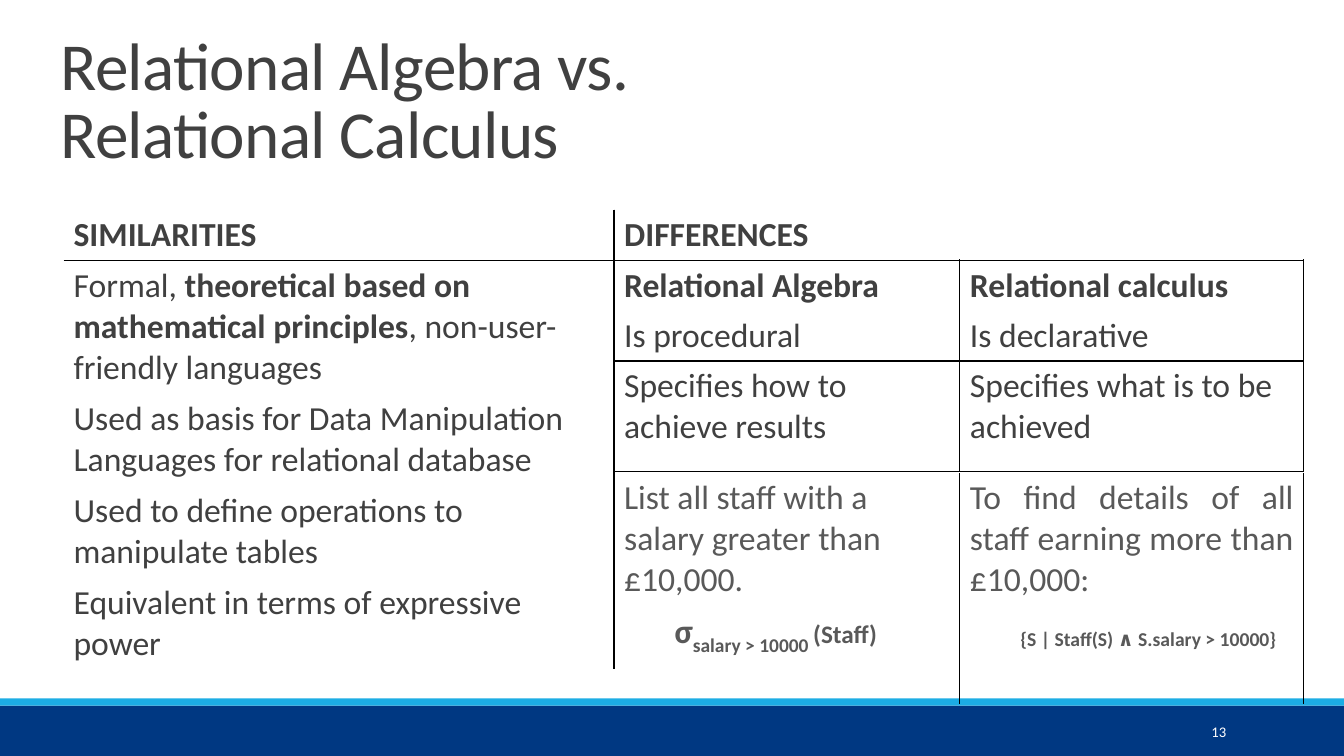
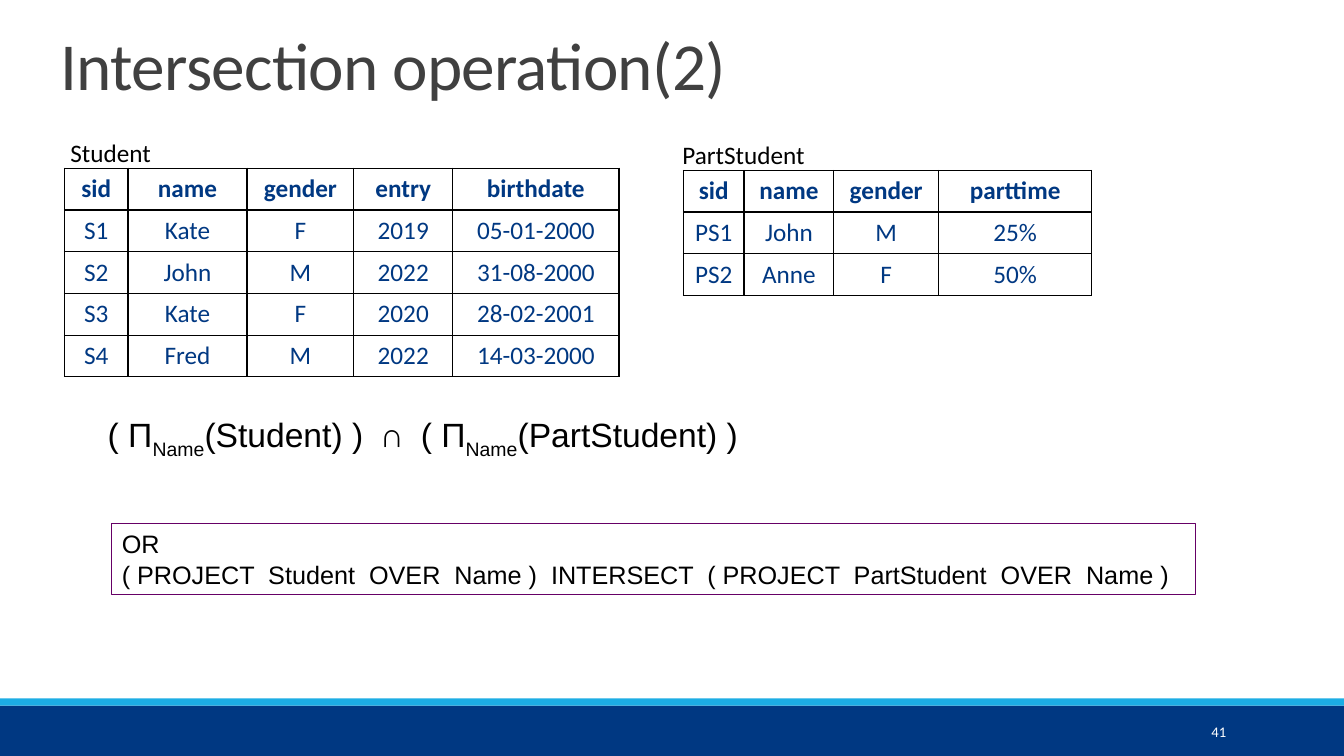
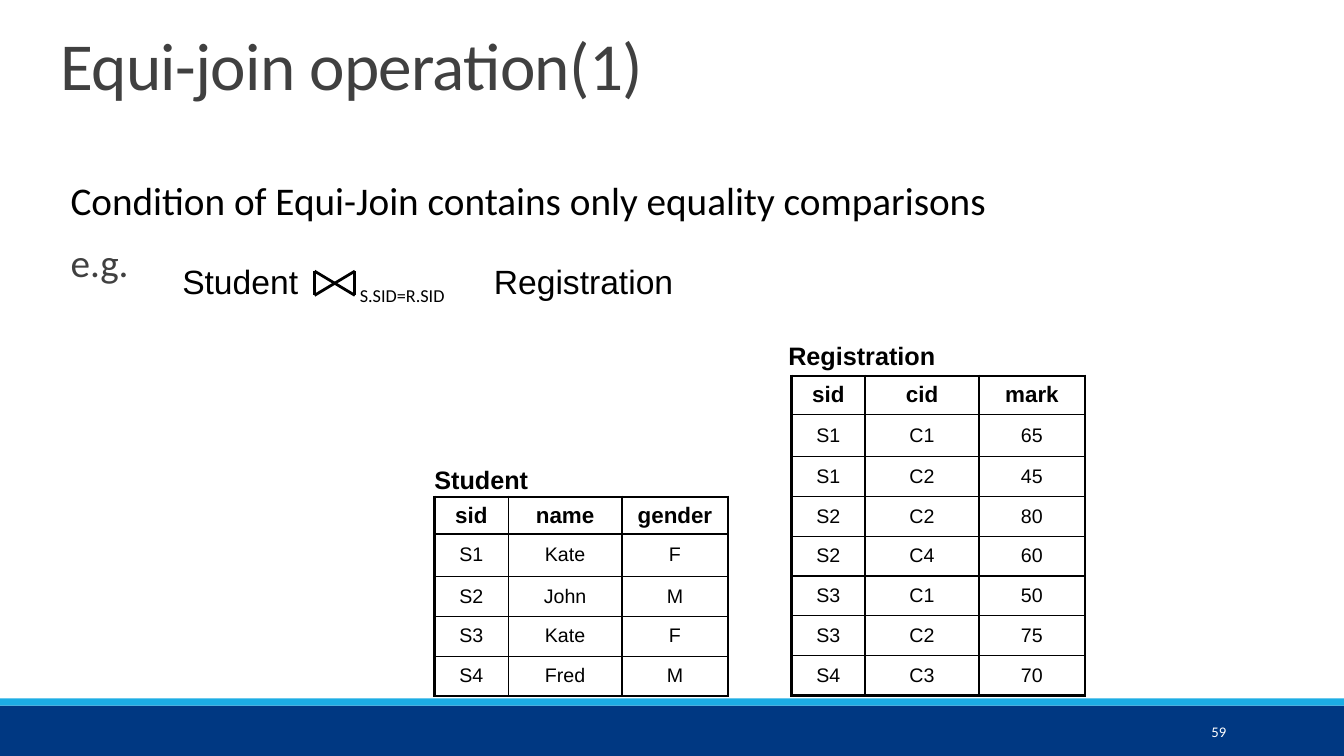
import pptx
import pptx.util
import pptx.oxml
import pptx.dml.color
import pptx.enum.text
import pptx.enum.shapes
import pptx.oxml.ns
from pptx.util import Inches

HUES = {"navy": "003882", "sky": "1CADE4", "dark": "404040", "grey": "595959",
        "black": "000000", "plum": "660066", "white": "FFFFFF"}
ALIGN = pptx.enum.text.PP_ALIGN
ANCHOR = pptx.enum.text.MSO_ANCHOR
FIT = pptx.enum.text.MSO_AUTO_SIZE
RECT = pptx.enum.shapes.MSO_SHAPE.RECTANGLE
NS = pptx.oxml.ns.nsdecls("a")

# Text formats
NOTE = {"name": "Calibri", "size": 24, "hue": "dark"}
TASK = {**NOTE, "hue": "grey"}
LABEL = {"name": "Calibri", "size": 18, "hue": "black"}
CODE = {"name": "Arial", "size": 18, "hue": "black"}
MATH = {**CODE, "size": 24}
BOLD = {"bold": True}
SUB = {"base": -25000}


def color(name):
    return pptx.dml.color.RGBColor.from_string(HUES[name])


def style(run, form):
    for key, value in form.items():
        if key == "hue":
            run.font.color.rgb = color(value)
        elif key == "base":
            run.font._element.set("baseline", str(value))
        else:
            setattr(run.font, key, pptx.util.Pt(value) if key == "size" else value)


def write(frame, paras, form, align=None):
    """A paragraph is a string or a list of strings and (string, format) pairs."""
    for i, para in enumerate(paras):
        line = frame.add_paragraph() if i else frame.paragraphs[0]
        line.alignment = align
        for part in [para] if isinstance(para, str) else para:
            text, own = (part, {}) if isinstance(part, str) else part
            run = line.add_run()
            run.text = text
            style(run, {**form, **own})


def place(shape, at):
    for key, value in zip(("left", "top", "width", "height"), at):
        setattr(shape, key, Inches(value))


def box(shapes, at, paras, form, align=None, wrap=True):
    frame = shapes.add_textbox(*map(Inches, at)).text_frame
    frame.word_wrap = wrap
    write(frame, paras, form, align)
    return frame


def panel(shapes, at, fill=None, line=None):
    shape = shapes.add_shape(RECT, *map(Inches, at))
    shape.shadow.inherit = False
    if fill:
        shape.fill.solid()
        shape.fill.fore_color.rgb = color(fill)
    else:
        shape.fill.background()
    if line:
        shape.line.color.rgb = color(line)
        shape.line.width = pptx.util.Pt(0.75)
    else:
        shape.line.fill.background()
    return shape


def stroke(shapes, start, end):
    line = shapes.add_connector(pptx.enum.shapes.MSO_CONNECTOR.STRAIGHT,
                                *map(Inches, start + end))
    line.line.color.rgb = color("black")
    line.line.width = pptx.util.Pt(2)
    line._element.spPr.append(pptx.oxml.parse_xml(f"<a:effectLst {NS}/>"))


# Tables
def border(cell, sides):
    cell.fill.background()
    props = cell._tc.get_or_add_tcPr()
    for i, side in enumerate("LRTB"):
        width = sides.get(side, 0)
        paint = (f'<a:solidFill><a:srgbClr val="{HUES["black"]}"/></a:solidFill>'
                 if width else "<a:noFill/>")
        props.insert(i, pptx.oxml.parse_xml(
            f'<a:ln{side} {NS} w="{int(width * 12700)}">{paint}</a:ln{side}>'))


def grid(slide, spot, cols, rows, edges):
    """Draw an empty table; edges(row, col) gives the line width of each side."""
    size = (sum(cols), sum(rows))
    table = slide.shapes.add_table(len(rows), len(cols),
                                   *map(Inches, spot + size)).table
    table.first_row = table.horz_banding = False
    for col, width in zip(table.columns, cols):
        col.width = Inches(width)
    for r, height in enumerate(rows):
        table.rows[r].height = Inches(height)
        for c in range(len(cols)):
            border(table.cell(r, c), edges(r, c))
    return table


def prose(slide, spot, cols, rows, marks):
    """Table whose lines are named cell by cell, as in "TR"."""
    return grid(slide, spot, cols, rows,
                lambda r, c: dict.fromkeys(marks[r][c], 1))


def data(slide, spot, cols, rows, lines, head, body, rim=1):
    """Centred table of values with a rim of its own width."""
    def edges(r, c):
        return {"L": 1 if c else rim, "T": 1 if r else rim,
                "R": rim if c == len(cols) - 1 else 1,
                "B": rim if r == len(rows) - 1 else 1}

    table = grid(slide, spot, cols, rows, edges)
    for r, line in enumerate(lines):
        for c, text in enumerate(line.split()):
            cell = table.cell(r, c)
            cell.vertical_anchor = ANCHOR.MIDDLE
            write(cell.text_frame, [text], body if r else head, ALIGN.CENTER)


# Shared look
def theme(deck):
    master = deck.slide_master
    title = master.placeholders[0]
    place(title, (0.5, 0.3, 10.1, 1.25))
    title.text_frame.vertical_anchor = ANCHOR.TOP
    title.text_frame.auto_size = FIT.NONE
    look = master.element.find(".//" + pptx.oxml.ns.qn("p:titleStyle"))[0]
    for child in list(look):
        look.remove(child)
    look.set("algn", "l")
    for part in (
            '<a:lnSpc {}><a:spcPct val="85000"/></a:lnSpc>',
            '<a:buNone {}/>',
            '<a:defRPr {} sz="4800" spc="-50"><a:solidFill><a:srgbClr val="'
            + HUES["dark"] + '"/></a:solidFill><a:latin typeface="Calibri"/></a:defRPr>'):
        look.append(pptx.oxml.parse_xml(part.format(NS)))


def bands(deck, slide):
    """Draw the foot bands, then hand them to the master."""
    for at, hue in (((0, 6.93, 13.33, 0.07), "sky"), ((0, 7, 13.33, 0.5), "navy")):
        band = panel(slide.shapes, at, hue)
        deck.slide_master.shapes._spTree.insert(2, band._element)


def page(deck, title, number, layout=5):
    slide = deck.slides.add_slide(deck.slide_layouts[layout])
    slide.shapes.title.text = title
    frame = box(slide.shapes, (10.83, 7.06, 1.43, 0.4), [number],
                {"name": "Calibri", "size": 10.5, "hue": "white"}, ALIGN.RIGHT)
    frame.vertical_anchor = ANCHOR.MIDDLE
    return slide


# Slides
def versus(deck):
    slide = page(deck, "Relational Algebra vs.\nRelational Calculus", "13")
    bands(deck, slide)
    place(slide.shapes.title, (0.5, 0.3, 12.44, 1.25))

    # Similarities
    alike = prose(slide, (0.63, 2.08), (5.16, 0.3),
                  (0.5, 0.91, 0.41, 0.92, 0.91, 0.91),
                  [("B", "BR"), ("T", "TR")] + [("", "R")] * 4)
    alike.cell(1, 0).merge(alike.cell(2, 0))
    for r, para in (
            (0, [("SIMILARITIES", BOLD)]),
            (1, ["Formal, ",
                 ("theoretical based on mathematical principles", BOLD),
                 ", non-user-friendly languages"]),
            (3, "Used as basis for Data Manipulation Languages for relational database"),
            (4, "Used to define operations to manipulate tables"),
            (5, "Equivalent in terms of expressive power")):
        write(alike.cell(r, 0).text_frame, [para], NOTE)

    # Differences
    cols, left = (3.43, 3.41), 6.09
    kinds = prose(slide, (left, 2.08), cols, (0.5, 0.5, 0.5),
                  [("LB", "B"), ("LTR", "LTR"), ("LRB", "LRB")])
    kinds.cell(0, 0).merge(kinds.cell(0, 1))
    write(kinds.cell(0, 0).text_frame, ["DIFFERENCES"], {**NOTE, **BOLD})
    goals = prose(slide, (left, 3.58), cols, (1.1, 0.41),
                  [("LRTB", "LRTB"), ("T", "T")])
    for table, r, texts, form in (
            (kinds, 1, ("Relational Algebra", "Relational calculus"), BOLD),
            (kinds, 2, ("Is procedural", "Is declarative"), {}),
            (goals, 0, ("Specifies how to achieve results",
                        "Specifies what is to be achieved"), {})):
        for c, text in enumerate(texts):
            write(table.cell(r, c).text_frame, [text], {**NOTE, **form})

    # Worked example
    tasks = prose(slide, (left, 4.69), cols, (1.88, 0.41), [("R", "LR")] * 2)
    for c, (text, rule, gap, align) in enumerate((
            ("List all staff with a salary greater than £10,000.",
             [("σ", BOLD), ("salary > 10000 ", {**BOLD, **SUB}),
              ("(Staff)", {**BOLD, "size": 18})], 8, None),
            ("To find details of all staff earning more than £10,000:",
             [("{S | Staff(S) ∧ S.salary > 10000}", {**BOLD, "size": 14})],
             19, ALIGN.JUSTIFY))):
        frame = tasks.cell(0, c).text_frame
        write(frame, [text, rule], TASK)
        first, last = frame.paragraphs
        first.alignment = align
        last.space_before = pptx.util.Pt(gap)
        last._p.get_or_add_pPr().set("marL", str(Inches(0.5)))


def meet(deck):
    slide = page(deck, "Intersection operation(2)", "41")
    body = {**LABEL, "hue": "navy"}
    head = {**body, **BOLD}
    data(slide, (0.64, 1.67), (0.63, 1.18, 1.06, 0.98, 1.65), (2.07 / 5,) * 5,
         ("sid name gender entry birthdate", "S1 Kate F 2019 05-01-2000",
          "S2 John M 2022 31-08-2000", "S3 Kate F 2020 28-02-2001",
          "S4 Fred M 2022 14-03-2000"), head, body)
    data(slide, (6.78, 1.69), (0.6, 0.89, 1.04, 1.52), (1.24 / 3,) * 3,
         ("sid name gender parttime", "PS1 John M 25%", "PS2 Anne F 50%"),
         head, body)
    box(slide.shapes, (0.6, 1.31, 1.01, 0.4), ["Student"], LABEL, wrap=False)
    box(slide.shapes, (6.67, 1.33, 1.43, 0.4), ["PartStudent"], LABEL, wrap=False)

    # Formula and its wording
    box(slide.shapes, (0.97, 4.06, 7.31, 0.5),
        [["( Π", ("Name", SUB), "(Student) )  ",
          ("∩", {"name": "Courier New", **BOLD}),
          "  ( Π", ("Name", SUB), "(PartStudent) )"]], MATH)
    frame = panel(slide.shapes, (1.11, 5.19, 10.75, 0.71), line="plum").text_frame
    frame.word_wrap = True
    write(frame, ["OR", "( PROJECT  Student  OVER  Name )  INTERSECT  "
                  "( PROJECT  PartStudent  OVER  Name )"], CODE, ALIGN.LEFT)


def join(deck):
    slide = page(deck, "Equi-join operation(1)", "59", 1)
    body = slide.placeholders[1]
    place(body, (0.5, 1.75, 12, 4.95))
    frame = body.text_frame
    frame.auto_size = FIT.NONE
    write(frame, [[("Condition of Equi-Join contains only equality comparisons",
                    {"hue": "black"})], "e.g."], {**NOTE, "size": 28})
    for i, line in enumerate(frame.paragraphs):
        props = line._p.get_or_add_pPr()
        props.set("marL", str(Inches(0.1)))
        props.set("indent", "0")
        props.append(pptx.oxml.parse_xml(f"<a:buNone {NS}/>"))
        for key, value in {"line_spacing": 0.9,
                           "space_before": pptx.util.Pt(12 * i),
                           "space_after": pptx.util.Pt(2)}.items():
            setattr(line, key, value)

    # Tables with their names
    cols = (0.73, 1.13, 1.05)
    for name, spot, at, first, total, lines in (
            ("Student", (4.31, 4.93), (4.21, 4.56, 1.14, 0.4), 0.36, 1.97,
             ("sid name gender", "S1 Kate F", "S2 John M", "S3 Kate F", "S4 Fred M")),
            ("Registration", (7.85, 3.73), (7.72, 3.33, 1.67, 0.4), 0.38, 3.17,
             ("sid cid mark", "S1 C1 65", "S1 C2 45", "S2 C2 80", "S2 C4 60",
              "S3 C1 50", "S3 C2 75", "S4 C3 70"))):
        second, rest = 0.42, len(lines) - 2
        rows = (first, second) + ((total - first - second) / rest,) * rest
        data(slide, spot, cols, rows, lines, {**CODE, **BOLD, "size": 16},
             {**CODE, "size": 14}, 2.25)
        box(slide.shapes, at, [name], {**CODE, **BOLD}, wrap=False)

    # Join formula with its bow-tie sign
    group = slide.shapes.add_group_shape().shapes
    frame = box(group, (1.71, 2.54, 5.2, 0.5), ["Student\tRegistration"], MATH)
    frame.paragraphs[0]._p.get_or_add_pPr().append(pptx.oxml.parse_xml(
        f'<a:tabLst {NS}><a:tab pos="{Inches(3.09)}" algn="l"/></a:tabLst>'))
    box(group, (3.47, 2.77, 1.46, 0.34), ["S.SID=R.SID"], {**LABEL, "size": 13})
    west, east, top, low = 3.12, 3.52, 2.69, 2.93
    for start, end in ((west, west), (east, east), (west, east), (east, west)):
        stroke(group, (start, top), (end, low))


def main():
    deck = pptx.Presentation()
    deck.slide_width, deck.slide_height = Inches(13.33), Inches(7.5)
    theme(deck)
    versus(deck)
    meet(deck)
    join(deck)
    deck.save("out.pptx")


if __name__ == "__main__":
    main()
